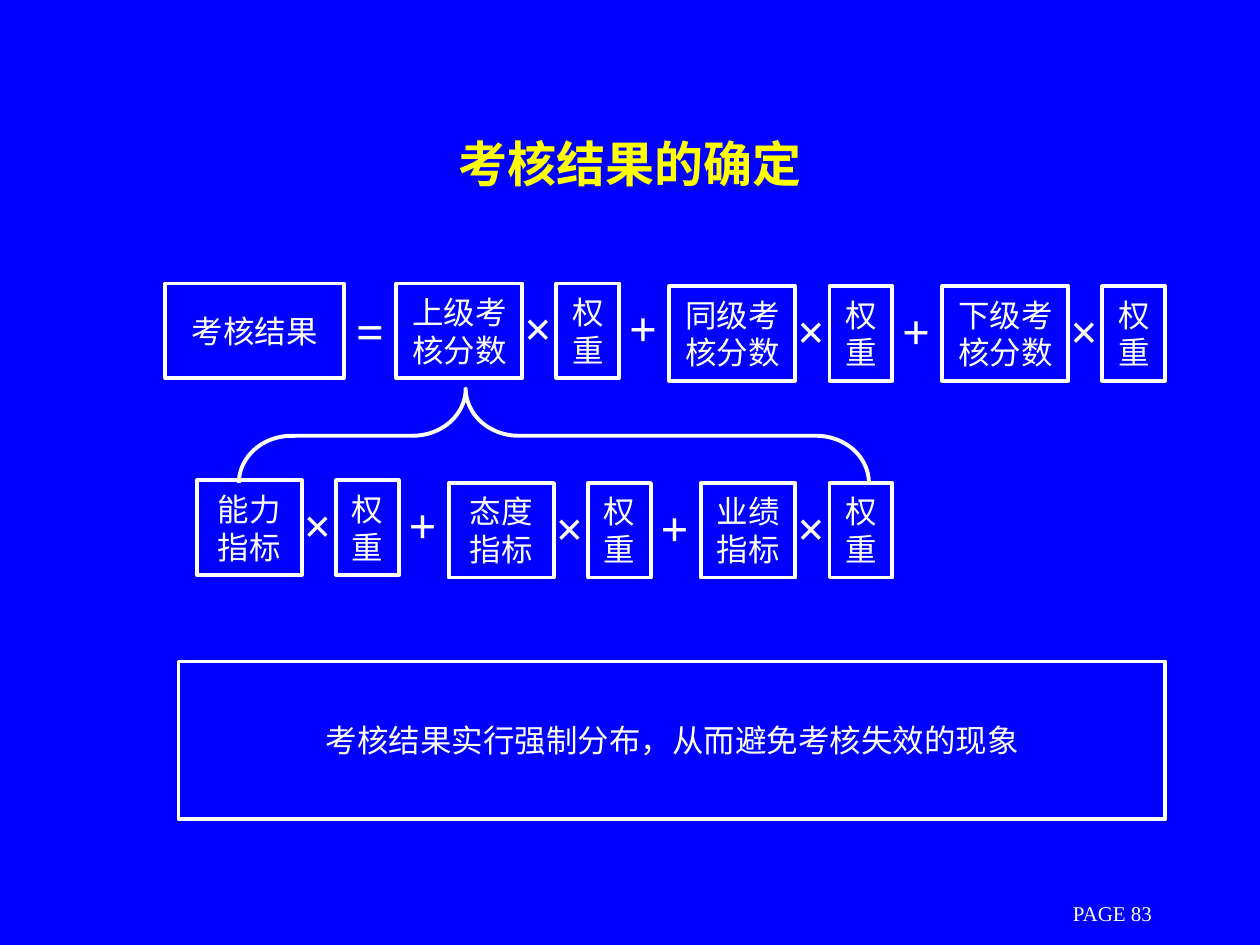
from dataclasses import dataclass

from pptx import Presentation
from pptx.dml.color import RGBColor
from pptx.enum.shapes import MSO_SHAPE
from pptx.enum.text import MSO_ANCHOR, MSO_AUTO_SIZE, PP_ALIGN
from pptx.oxml.ns import qn
from pptx.util import Inches, Pt

RECTANGLE = MSO_SHAPE.RECTANGLE
LEFT_BRACE = MSO_SHAPE.LEFT_BRACE
MIDDLE, TOP = MSO_ANCHOR.MIDDLE, MSO_ANCHOR.TOP
CENTER, LEFT = PP_ALIGN.CENTER, PP_ALIGN.LEFT
NO_AUTOFIT = MSO_AUTO_SIZE.NONE


@dataclass(frozen=True)
class Theme:
    background: RGBColor = RGBColor(0, 0, 255)
    foreground: RGBColor = RGBColor(255, 255, 255)
    accent: RGBColor = RGBColor(255, 255, 0)
    latin_font: str = "Times New Roman"
    chinese_font: str = "Noto Sans CJK SC"
    heading_size: int = 28
    body_size: int = 18
    footer_size: int = 12
    line_width: float = 2.25


THEME = Theme()
CELLS_PER_INCH = 12
BOX_HEIGHT = 9
WEIGHT_WIDTH = 6
OPERATOR_WIDTH = 5
OPERATOR_HEIGHT = 6.8
TIMES_GAP = 3.25
PLUS_GAP = 4.75
LATER_TERM_DROP = 0.25
SCORE_TERMS = [("上级考核分数", 12), ("同级考核分数", 12), ("下级考核分数", 12)]
INDICATOR_TERMS = [("能力指标", 10), ("态度指标", 10), ("业绩指标", 9)]


def grid(*cells):
    return [Inches(cell / CELLS_PER_INCH) for cell in cells]


def set_values(target, values):
    for name, value in values.items():
        setattr(target, name, value)


def write_text(shape, text, size, color=THEME.foreground, bold=False,
               font=THEME.latin_font, anchor=MIDDLE, alignment=CENTER, wrap=True):
    frame = shape.text_frame
    frame.text = text
    set_values(frame, {"auto_size": NO_AUTOFIT, "vertical_anchor": anchor, "word_wrap": wrap})
    paragraph = frame.paragraphs[0]
    paragraph.alignment = alignment
    run = paragraph.runs[0]
    set_values(run.font, {"name": font, "size": Pt(size), "bold": bold})
    run.font.color.rgb = color


def add_outline(slide, kind, *cells):
    shape = slide.shapes.add_shape(kind, *grid(*cells))
    shape.shadow.inherit = False
    shape.fill.background()
    shape.line.color.rgb = THEME.foreground
    shape.line.width = Pt(THEME.line_width)
    return shape


def add_box(slide, text, left, top, width, height=BOX_HEIGHT, alignment=CENTER):
    box = add_outline(slide, RECTANGLE, left, top, width, height)
    write_text(box, text, THEME.body_size, alignment=alignment)


def add_operator(slide, symbol, left, top):
    operator = slide.shapes.add_textbox(*grid(left, top, OPERATOR_WIDTH, OPERATOR_HEIGHT))
    write_text(operator, symbol, THEME.heading_size, bold=True, anchor=TOP, wrap=False)


def add_weighted_sum(slide, terms, left, top):
    for index, (name, width) in enumerate(terms):
        term_top = top + (LATER_TERM_DROP if index else 0)
        operator_top = term_top + 0.75
        weight_left = left + width + TIMES_GAP
        weight_right = weight_left + WEIGHT_WIDTH
        add_box(slide, name, left, term_top, width)
        add_operator(slide, "×", left + width - 1, operator_top)
        add_box(slide, "权重", weight_left, term_top, WEIGHT_WIDTH)
        if index < len(terms) - 1:
            add_operator(slide, "+", weight_right - 0.25, operator_top)
        left = weight_right + PLUS_GAP


def add_brace(slide):
    brace = add_outline(slide, LEFT_BRACE, 48.25, 11.5, 9, 60)
    brace.rotation = 90
    brace.adjustments[0] = 0.56
    brace.adjustments[1] = 0.64


def add_title(slide, text):
    title = slide.shapes.title
    for name, value in zip(("left", "top", "width", "height"), grid(9, 8, 102, 15)):
        setattr(title, name, value)
    write_text(title, text, THEME.heading_size, THEME.accent, True, THEME.chinese_font)
    properties = title.text_frame.paragraphs[0].runs[0].font._element
    east_asian = properties.makeelement(qn("a:ea"), {"typeface": THEME.chinese_font})
    properties.find(qn("a:latin")).addnext(east_asian)


def add_page_number(slide, text):
    footer = slide.shapes.add_textbox(*grid(101, 85.5, 20, 3))
    write_text(footer, text, THEME.footer_size, alignment=LEFT, wrap=False)


def main():
    presentation = Presentation()
    set_values(presentation, {"slide_width": Inches(10), "slide_height": Inches(7.5)})
    slide = presentation.slides.add_slide(presentation.slide_layouts[5])
    slide.background.fill.solid()
    slide.background.fill.fore_color.rgb = THEME.background

    add_page_number(slide, "PAGE 83")
    add_title(slide, "考核结果的确定")
    add_box(slide, "考核结果", 15.75, 27, 17)
    add_operator(slide, "=", 32.75, 28)
    add_weighted_sum(slide, SCORE_TERMS, 37.75, 27)
    add_weighted_sum(slide, INDICATOR_TERMS, 18.75, 45.75)
    add_brace(slide)
    add_box(slide, "考核结果实行强制分布，从而避免考核失效的现象", 17, 63, 94, 15)
    presentation.save("out.pptx")


if __name__ == "__main__":
    main()
